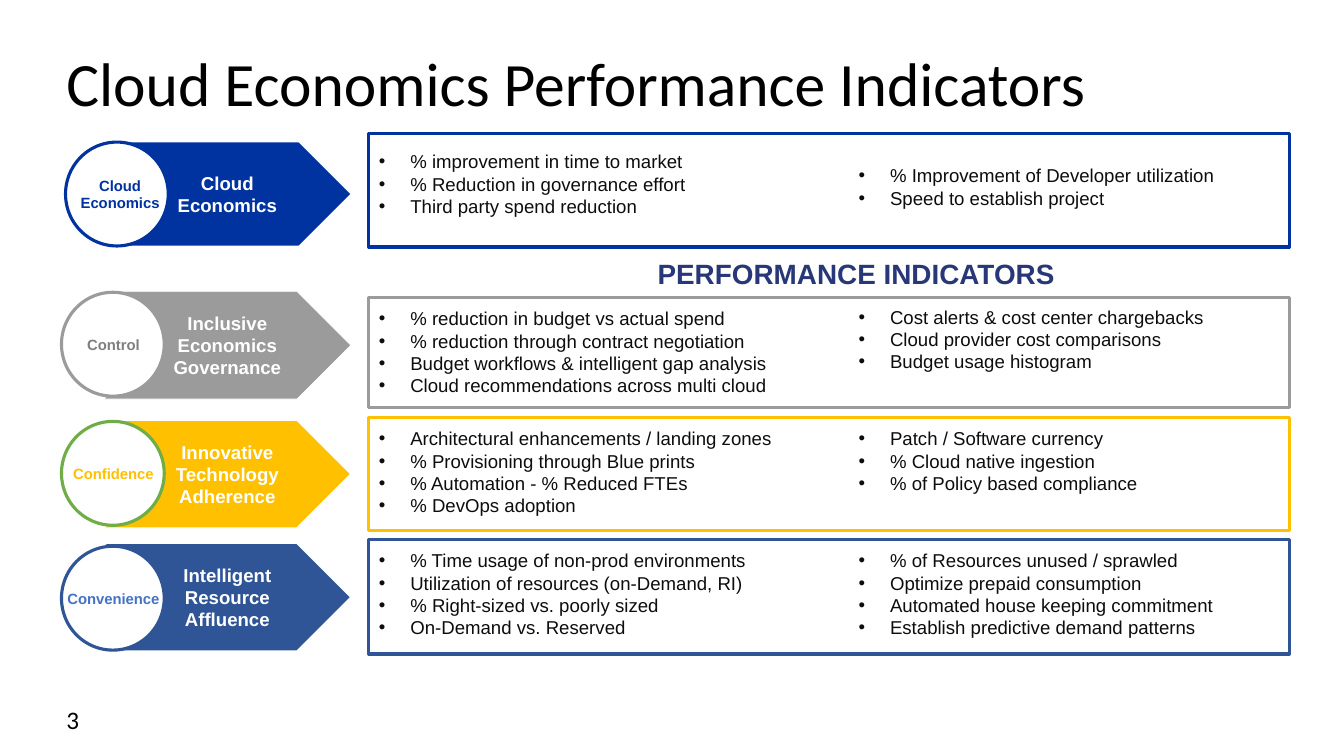
from dataclasses import dataclass

from lxml.etree import SubElement
from pptx import Presentation
from pptx.dml.color import RGBColor as RGB
from pptx.enum.shapes import MSO_SHAPE as Form
from pptx.enum.text import MSO_ANCHOR as Anchor, PP_ALIGN as Align
from pptx.oxml.ns import qn
from pptx.util import Pt

BLACK = RGB(0x00, 0x00, 0x00)
WHITE = RGB(0xFF, 0xFF, 0xFF)
INK = RGB(0x0D, 0x0D, 0x0D)
NAVY = RGB(0x27, 0x37, 0x77)
ROYAL = RGB(0x00, 0x33, 0xA0)
GREY = RGB(0x9B, 0x9B, 0x9B)
SLATE = RGB(0x7F, 0x7F, 0x7F)
GOLD = RGB(0xFF, 0xC0, 0x00)
GREEN = RGB(0x70, 0xAD, 0x47)
STEEL = RGB(0x2F, 0x55, 0x97)
BLUE = RGB(0x44, 0x72, 0xC4)

PANEL_X, PANEL_W = 263.5, 657.4
RIGHT_X = 606.2
ARROW_X, ARROW_W = 74.2, 176.4
RING_W, RING_H = 73.4, 74.2
LABEL_W = 85.6
INDENT, LINE_H = 22.5, 16


@dataclass
class Row:
    """One theme: panel and arrow as (top, height), ring as (left, top), lists as (top, items)."""
    name: str
    label: str
    tone: RGB
    ring_tone: RGB
    label_tone: RGB
    panel: tuple
    arrow: tuple
    edge: float
    ring: tuple
    label_x: float
    left: tuple
    right: tuple


ROWS = [
    Row("Cloud Economics", "Cloud Economics", ROYAL, ROYAL, ROYAL,
        (95.5, 81), (101.5, 74.2), 0.5, (46.8, 101.5), 43,
        (103.7, ["% improvement in time to market",
                 "% Reduction in governance effort",
                 "Third party spend reduction"]),
        (113.8, ["% Improvement of Developer utilization",
                 "Speed to establish project"])),
    Row("Inclusive Economics\nGovernance", "Control", GREY, GREY, SLATE,
        (212.4, 78.8), (208.1, 77), 0.5, (43.9, 208.8), 38.2,
        (216, ["% reduction in budget vs actual spend",
               "% reduction through contract negotiation",
               "Budget workflows & intelligent gap analysis",
               "Cloud recommendations across multi cloud"]),
        (214.6, ["Cost alerts & cost center chargebacks",
                 "Cloud provider cost comparisons",
                 "Budget usage histogram"])),
    Row("Innovative Technology Adherence", "Confidence", GOLD, GREEN, GOLD,
        (298.1, 81), (300.2, 77), 1, (43.9, 301), 38.2,
        (301.7, ["Architectural enhancements / landing zones",
                 "% Provisioning through Blue prints",
                 "% Automation - % Reduced FTEs",
                 "% DevOps adoption"]),
        (301.7, ["Patch / Software currency",
                 "% Cloud native ingestion",
                 "% of Policy based compliance"])),
    Row("Intelligent Resource Affluence", "Convenience", STEEL, STEEL, BLUE,
        (385.2, 82), (388.1, 77), 1, (43.9, 390.2), 38.2,
        (388.8, ["% Time usage of non-prod environments",
                 "Utilization of resources (on-Demand, RI)",
                 "% Right-sized vs. poorly sized",
                 "On-Demand vs. Reserved"]),
        (388.8, ["% of Resources unused / sprawled",
                 "Optimize prepaid consumption",
                 "Automated house keeping commitment",
                 "Establish predictive demand patterns"])),
]


class Deck:
    def __init__(self):
        self.prs = Presentation()
        self.prs.slide_width, self.prs.slide_height = Pt(960), Pt(540)
        self.slide = self.prs.slides.add_slide(self.prs.slide_layouts[6])

    def label(self, shape, text, size, color, bold=False, font="Arial",
              align=Align.LEFT, anchor=Anchor.TOP, wrap=True):
        frame = shape.text_frame
        frame.word_wrap = wrap
        frame.vertical_anchor = anchor
        frame.text = text
        for para in frame.paragraphs:
            para.alignment = align
            para.font.name = font
            para.font.size = Pt(size)
            para.font.bold = bold
            para.font.color.rgb = color
        return frame

    def text(self, x, y, w, h, text, size, color, **style):
        box = self.slide.shapes.add_textbox(Pt(x), Pt(y), Pt(w), Pt(h))
        return self.label(box, text, size, color, **style)

    def shape(self, form, x, y, w, h, fill, line, weight):
        shape = self.slide.shapes.add_shape(form, Pt(x), Pt(y), Pt(w), Pt(h))
        shape.shadow.inherit = False
        if fill is None:
            shape.fill.background()
        else:
            shape.fill.solid()
            shape.fill.fore_color.rgb = fill
        shape.line.color.rgb = line
        shape.line.width = Pt(weight)
        return shape

    def bullets(self, x, y, w, items):
        frame = self.text(x, y, w, LINE_H * len(items) + 7.2,
                          "\n".join(items), 13.3, INK)
        for para in frame.paragraphs:
            props = para._p.get_or_add_pPr()
            props.set("marL", str(Pt(INDENT)))
            props.set("indent", str(-Pt(INDENT)))
            SubElement(props, qn("a:buFont")).set("typeface", "Arial")
            SubElement(props, qn("a:buChar")).set("char", "•")

    def row(self, row):
        top, high = row.panel
        self.shape(Form.RECTANGLE, PANEL_X, top, PANEL_W, high, None, row.tone, 2.25)
        self.bullets(PANEL_X, row.left[0], 340, row.left[1])
        self.bullets(RIGHT_X, row.right[0], 314.6, row.right[1])

        top, high = row.arrow
        arrow = self.shape(Form.CHEVRON, ARROW_X, top, ARROW_W, high,
                           row.tone, WHITE, row.edge)
        self.label(arrow, row.name, 13.3, WHITE, bold=True,
                   align=Align.CENTER, anchor=Anchor.MIDDLE)

        x, y = row.ring
        self.shape(Form.OVAL, x, y, RING_W, RING_H, WHITE, row.ring_tone, 2.25)
        self.text(row.label_x, y, LABEL_W, RING_H, row.label, 10.6, row.label_tone,
                  bold=True, align=Align.CENTER, anchor=Anchor.MIDDLE)


def main():
    deck = Deck()
    title = deck.text(40.3, 28.8, 883.4, 65.5, "Cloud Economics Performance Indicators",
                      44, BLACK, font="Calibri", anchor=Anchor.MIDDLE)
    title.paragraphs[0].line_spacing = 0.9
    for row in ROWS:
        deck.row(row)
    deck.text(461.5, 180, 300.2, 31.7, "PERFORMANCE INDICATORS", 19.9, NAVY,
              bold=True, align=Align.CENTER, wrap=False)
    deck.text(40.3, 499.7, 23.8, 13, "3", 18, BLACK, font="Calibri")
    deck.prs.save("out.pptx")


if __name__ == "__main__":
    main()
